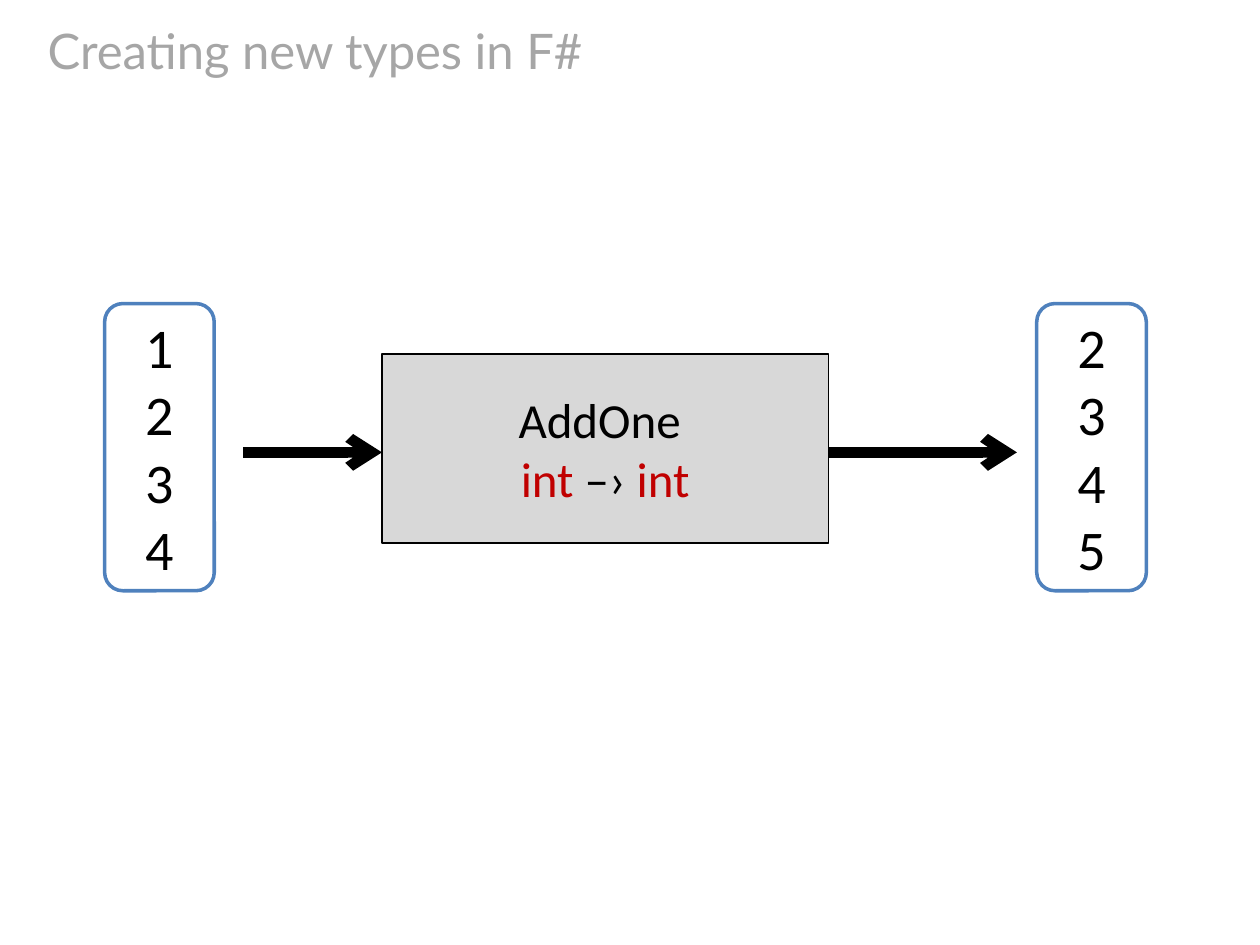
from lxml.etree import SubElement
from pptx import Presentation
from pptx.dml.color import RGBColor
from pptx.enum.shapes import MSO_CONNECTOR as Connector, MSO_SHAPE as Shape
from pptx.enum.text import MSO_ANCHOR as Anchor, PP_ALIGN as Align
from pptx.oxml.ns import qn
from pptx.util import Cm, Pt

BLACK, RED, BLUE = "000000", "C00000", "4F81BD"
WHITE, LIGHT_GREY, TITLE_GREY = "FFFFFF", "D8D8D8", "A6A6A6"


def color(hex_code):
    return RGBColor.from_string(hex_code)


class SlideBuilder:
    title_font = "Lato"
    body_font = "Calibri"

    def __init__(self, slide):
        self.shapes = slide.shapes

    def style(self, paragraph, font_name, size, hex_code):
        paragraph.font.name = font_name
        paragraph.font.size = Pt(size)
        paragraph.font.color.rgb = color(hex_code)

    def title(self, text, left, top, width, height):
        frame = self.shapes.add_textbox(Cm(left), Cm(top), Cm(width), Cm(height)).text_frame
        frame.word_wrap = True
        frame.vertical_anchor = Anchor.MIDDLE
        frame.text = text
        self.style(frame.paragraphs[0], self.title_font, 28, TITLE_GREY)

    def arrow(self, start, end, y):
        line = self.shapes.add_connector(Connector.STRAIGHT, Cm(start), Cm(y), Cm(end), Cm(y))
        line.line.color.rgb = color(BLACK)
        line.line.width = Pt(6)
        SubElement(line.line._get_or_add_ln(), qn("a:tailEnd"), type="arrow")
        SubElement(line._element.spPr, qn("a:effectLst"))

    def box(self, kind, left, top, width, height, fill, outline, weight):
        """Draw an outlined box and return its centred text frame."""
        box = self.shapes.add_shape(kind, Cm(left), Cm(top), Cm(width), Cm(height))
        box.shadow.inherit = False
        box.fill.solid()
        box.fill.fore_color.rgb = color(fill)
        box.line.color.rgb = color(outline)
        box.line.width = Pt(weight)
        box.text_frame.vertical_anchor = Anchor.MIDDLE
        return box.text_frame

    def function_box(self, name, signature, left, top, width, height):
        frame = self.box(Shape.RECTANGLE, left, top, width, height, LIGHT_GREY, BLACK, 0.75)
        paragraph = frame.paragraphs[0]
        paragraph.alignment = Align.CENTER
        self.style(paragraph, self.body_font, 28, BLACK)
        paragraph.add_run().text = name
        paragraph.add_line_break()
        for text, hex_code in signature:
            run = paragraph.add_run()
            run.text = text
            run.font.color.rgb = color(hex_code)

    def value_set(self, values, left, top, width, height):
        frame = self.box(Shape.ROUNDED_RECTANGLE, left, top, width, height, WHITE, BLUE, 2)
        frame.text = "\v".join(str(value) for value in values)
        paragraph = frame.paragraphs[0]
        paragraph.alignment = Align.CENTER
        self.style(paragraph, self.body_font, 32, BLACK)


def main():
    deck = Presentation()
    deck.slide_width, deck.slide_height = Cm(25.4), Cm(19.05)
    builder = SlideBuilder(deck.slides.add_slide(deck.slide_layouts[6]))

    # Heading
    builder.title("Creating new types in F#", 0.71, 0.33, 24, 1.37)

    # Arrows into and out of the function
    function_left, function_width = 7.7, 9
    arrow_y = 9.12
    builder.arrow(4.9, function_left, arrow_y)
    builder.arrow(function_left + function_width, 20.5, arrow_y)

    # Function with its type signature
    signature = [("int ", RED), ("–› ", BLACK), ("int", RED)]
    builder.function_box("AddOne ", signature, function_left, 7.14, function_width, 3.81)

    # Input and output values
    inputs = range(1, 5)
    outputs = [value + 1 for value in inputs]
    for values, left in ((inputs, 2.11), (outputs, 20.9)):
        builder.value_set(values, left, 6.12, 2.21, 5.79)

    deck.save("out.pptx")


if __name__ == "__main__":
    main()
